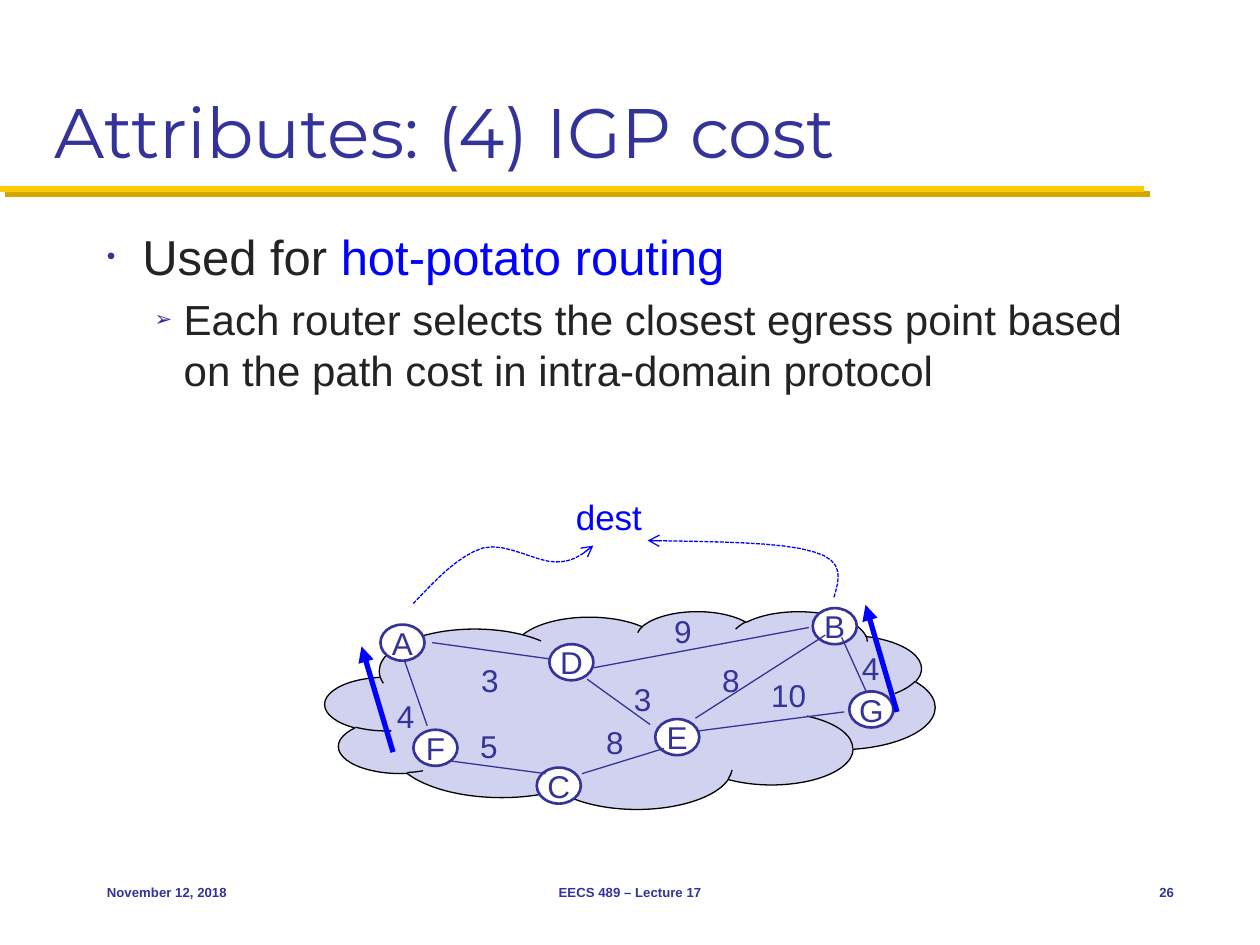
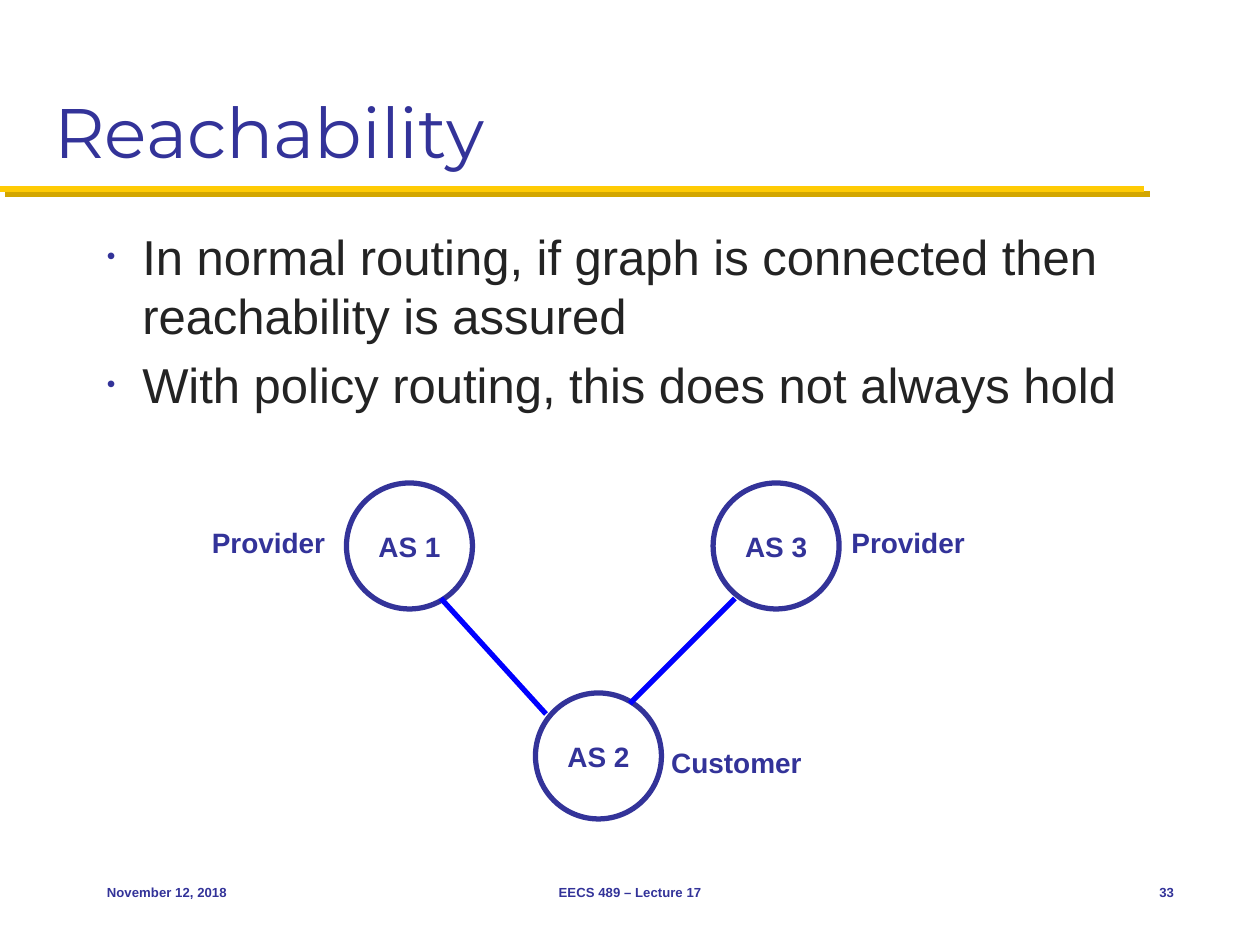
"""Build two lecture slides on hot-potato routing and reachability."""
from lxml.etree import SubElement
from pptx import Presentation
from pptx.dml.color import RGBColor
from pptx.enum.dml import MSO_LINE
from pptx.enum.shapes import MSO_CONNECTOR, MSO_SHAPE
from pptx.enum.text import MSO_ANCHOR, PP_ALIGN
from pptx.oxml.ns import qn
from pptx.util import Pt

HEX = {"navy": "333399", "blue": "0000FF", "ink": "232323", "gold": "FFCB05",
       "shade": "D3A600", "cloud": "D1D1F0", "white": "FFFFFF", "black": "000000"}
RGB = {name: RGBColor.from_string(code) for name, code in HEX.items()}
LEFT, MID, RIGHT = PP_ALIGN.LEFT, PP_ALIGN.CENTER, PP_ALIGN.RIGHT


def write(shape, words, size, color="navy", align=MID, bold=False, font="Arial"):
    frame = shape.text_frame
    frame.word_wrap = True
    frame.vertical_anchor = MSO_ANCHOR.MIDDLE
    frame.margin_left = frame.margin_right = Pt(0 if align == MID else 7.2)
    para = frame.paragraphs[0]
    para.alignment = align
    run = para.add_run()
    run.text = words
    run.font.size, run.font.bold, run.font.name = Pt(size), bold, font
    run.font.color.rgb = RGB[color]
    return frame


def draw(slide, ends, color, width, tail=None):
    line = slide.shapes.add_connector(MSO_CONNECTOR.STRAIGHT, *map(Pt, ends))
    line.line.color.rgb = RGB[color]
    line.line.width = Pt(width)
    if tail:
        SubElement(line.line._get_or_add_ln(), qn("a:tailEnd"), type=tail)
    SubElement(line._element.spPr, qn("a:effectLst"))


deck = Presentation()
deck.slide_width, deck.slide_height = Pt(720), Pt(540)

LEVELS = [(28, 20.2, 20.2, "•"), (24, 43.9, 16.6, "➢")]
PAGES = [
    ("Attributes: (4) IGP cost", "26", 348, [
        (0, [("Used for ", "ink"), ("hot-potato routing", "blue")]),
        (1, [("Each router selects the closest egress point based on the path "
              "cost in intra-domain protocol", "ink")])]),
    ("Reachability", "33", 136, [
        (0, [("In normal routing, if graph is connected then reachability is "
              "assured", "ink")]),
        (0, [("With policy routing, this does not always hold", "ink")])]),
]

slides = []
for title, page, height, points in PAGES:
    slide = deck.slides.add_slide(deck.slide_layouts[6])
    slides.append(slide)
    draw(slide, (3, 111, 657, 111), "shade", 3.5)
    draw(slide, (0, 108, 654, 108), "gold", 3.5)
    box = slide.shapes.add_textbox(Pt(24), Pt(12), Pt(672), Pt(90))
    head = write(box, title, 40, align=LEFT, font="Montserrat")
    head.vertical_anchor = MSO_ANCHOR.BOTTOM

    body = slide.shapes.add_textbox(Pt(54), Pt(126), Pt(624), Pt(height)).text_frame
    body.word_wrap = True
    for index, (level, runs) in enumerate(points):
        size, indent, hang, mark = LEVELS[level]
        para = body.add_paragraph() if index else body.paragraphs[0]
        para.level = level
        para.space_before = Pt(size * 0.2)
        props = para._p.get_or_add_pPr()
        props.set("marL", str(Pt(indent)))
        props.set("indent", str(-Pt(hang)))
        SubElement(SubElement(props, qn("a:buClr")), qn("a:srgbClr"), val=HEX["navy"])
        SubElement(props, qn("a:buSzPct"), val="50000")
        SubElement(props, qn("a:buFont"), typeface="Arial")
        SubElement(props, qn("a:buChar"), char=mark)
        for words, color in runs:
            run = para.add_run()
            run.text = words
            run.font.size, run.font.name = Pt(size), "Arial"
            run.font.color.rgb = RGB[color]

    for left, width, words, align in [(54, 150, "November 12, 2018", LEFT),
                                      (246, 228, "EECS 489 – Lecture 17", MID),
                                      (630, 48, page, RIGHT)]:
        box = slide.shapes.add_textbox(Pt(left), Pt(492), Pt(width), Pt(36))
        write(box, words, 7.5, align=align, bold=True)

costs, reach = slides

cloud = costs.shapes.add_shape(MSO_SHAPE.CLOUD, Pt(185.8), Pt(349.2), Pt(348.5), Pt(113))
cloud.shadow.inherit = False
cloud.fill.solid()
cloud.fill.fore_color.rgb = RGB["cloud"]
cloud.line.color.rgb = RGB["black"]
cloud.line.width = Pt(0.75)

NODES = {"A": (230, 367.2), "B": (477, 357.8), "C": (319.3, 448.9),
         "D": (326.5, 378.4), "E": (387, 421.2), "F": (248.8, 427.3),
         "G": (497.9, 405.4)}
for name, (x, y) in NODES.items():
    node = costs.shapes.add_shape(MSO_SHAPE.OVAL, Pt(x - 12.6), Pt(y - 10.3),
                                  Pt(25.2), Pt(20.6))
    node.shadow.inherit = False
    node.fill.solid()
    node.fill.fore_color.rgb = RGB["white"]
    node.line.color.rgb = RGB["navy"]
    node.line.width = Pt(1.5)
    write(node, name, 18)

LINKS = [(244.1, 414.7, 231.1, 377.3), (257.8, 434.9, 311.8, 442.1),
         (247, 367.2, 314.6, 376.6), (332.6, 442.1, 379.4, 427.7),
         (335.5, 388.1, 371.5, 414), (339.1, 381.6, 462.2, 358.6),
         (399.6, 417.6, 482.4, 406.8), (495.4, 396, 481, 364.3),
         (397.4, 410.4, 471.6, 362.9)]
for ends in LINKS:
    draw(costs, ends, "navy", 0.75)

COSTS = [("4", 231.8, 409), ("5", 279.4, 426.2), ("3", 280, 388.8),
         ("9", 390.2, 360.7), ("3", 367.2, 399.6), ("4", 497.5, 381.6),
         ("10", 450.7, 397.4), ("8", 417.6, 388.8), ("8", 351.4, 424.1)]
for cost, x, y in COSTS:
    box = costs.shapes.add_textbox(Pt(x - 17), Pt(y - 14.4), Pt(34), Pt(28.8))
    write(box, cost, 18)

CURVES = [
    [(236.2, 344.9), (249.1, 331.2), (262.1, 317.5), (275.8, 313.2),
     (289.4, 309.6), (307.4, 321.8), (318.2, 321.1),
     (328.3, 321.1), (333.4, 316.1), (339.1, 311.8)],
    [(476.6, 341.3), (479.5, 331.2), (483.1, 320.4), (465.1, 315.4),
     (447.1, 309.6), (408.2, 309.6), (370.1, 308.9)],
]
STEPS = 8
for curve in CURVES:
    trail = []
    for start in range(0, len(curve) - 1, 3):
        for step in range(1, STEPS + 1):
            t = step / STEPS
            parts = ((1 - t) ** 3, 3 * t * (1 - t) ** 2, 3 * t * t * (1 - t), t ** 3)
            knots = curve[start:start + 4]
            trail.append([Pt(sum(p * knot[axis] for p, knot in zip(parts, knots)))
                          for axis in (0, 1)])
    pen = costs.shapes.build_freeform(*map(Pt, curve[0]))
    pen.add_line_segments(trail, close=False)
    route = pen.convert_to_shape()
    route.shadow.inherit = False
    route.fill.background()
    route.line.color.rgb = RGB["blue"]
    route.line.width = Pt(0.75)
    route.line.dash_style = MSO_LINE.SQUARE_DOT
    SubElement(route.line._get_or_add_ln(), qn("a:tailEnd"), type="arrow")

dest = costs.shapes.add_textbox(Pt(322), Pt(279.4), Pt(52), Pt(31.7))
write(dest, "dest", 20, "blue")
for ends in [(224.6, 429.8, 206.6, 369.4), (512.6, 406.8, 494.6, 345.6)]:
    draw(costs, ends, "blue", 3, "triangle")

for name, x, y in [("AS 2", 306, 396), ("AS 3", 407.5, 276), ("AS 1", 198, 276)]:
    ring = reach.shapes.add_shape(MSO_SHAPE.OVAL, Pt(x), Pt(y), Pt(72), Pt(72))
    ring.shadow.inherit = False
    ring.fill.background()
    ring.line.color.rgb = RGB["navy"]
    ring.line.width = Pt(3)
    write(ring, name, 16, bold=True)

for ends in [(360, 402, 420, 342), (312, 408, 252, 342)]:
    draw(reach, ends, "blue", 3)

for role, x, y in [("Provider", 114, 294), ("Provider", 479.5, 294),
                   ("Customer", 376.5, 420)]:
    box = reach.shapes.add_textbox(Pt(x), Pt(y), Pt(108), Pt(31.2))
    write(box, role, 16, align=LEFT, bold=True)

deck.save("out.pptx")
